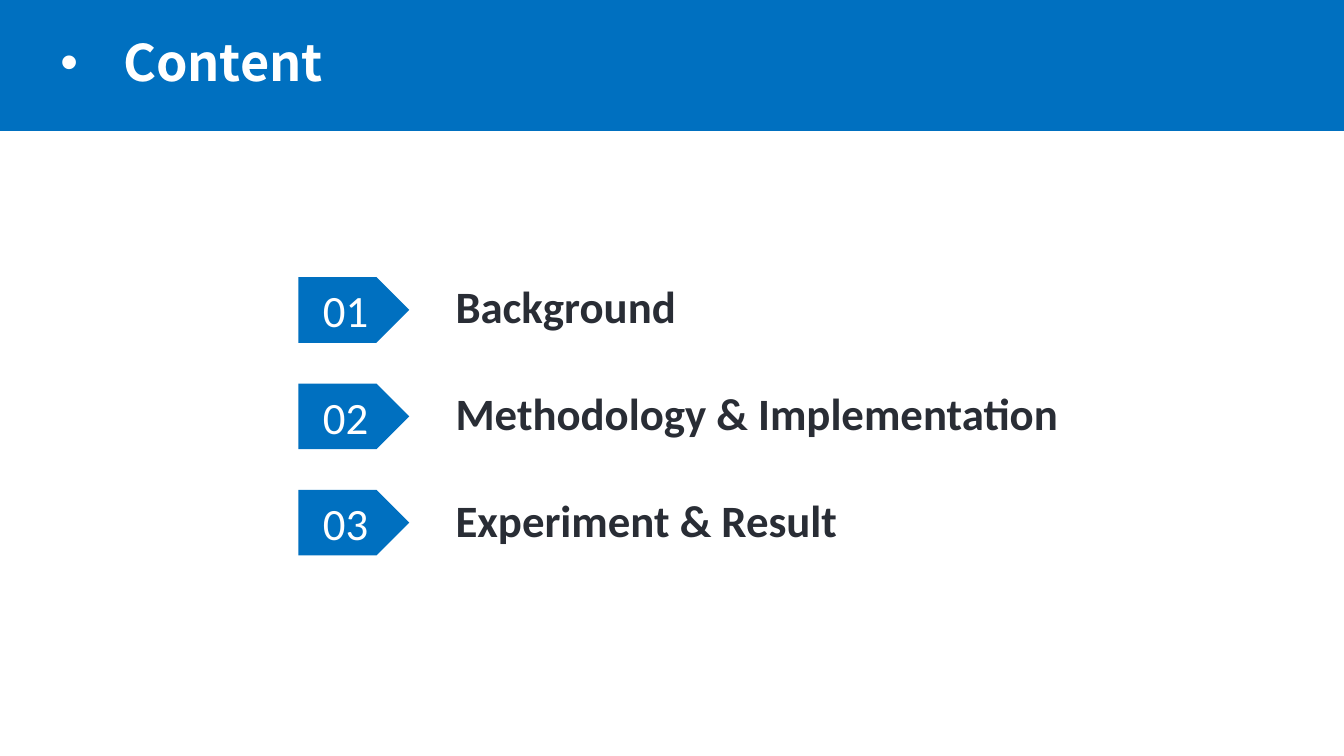
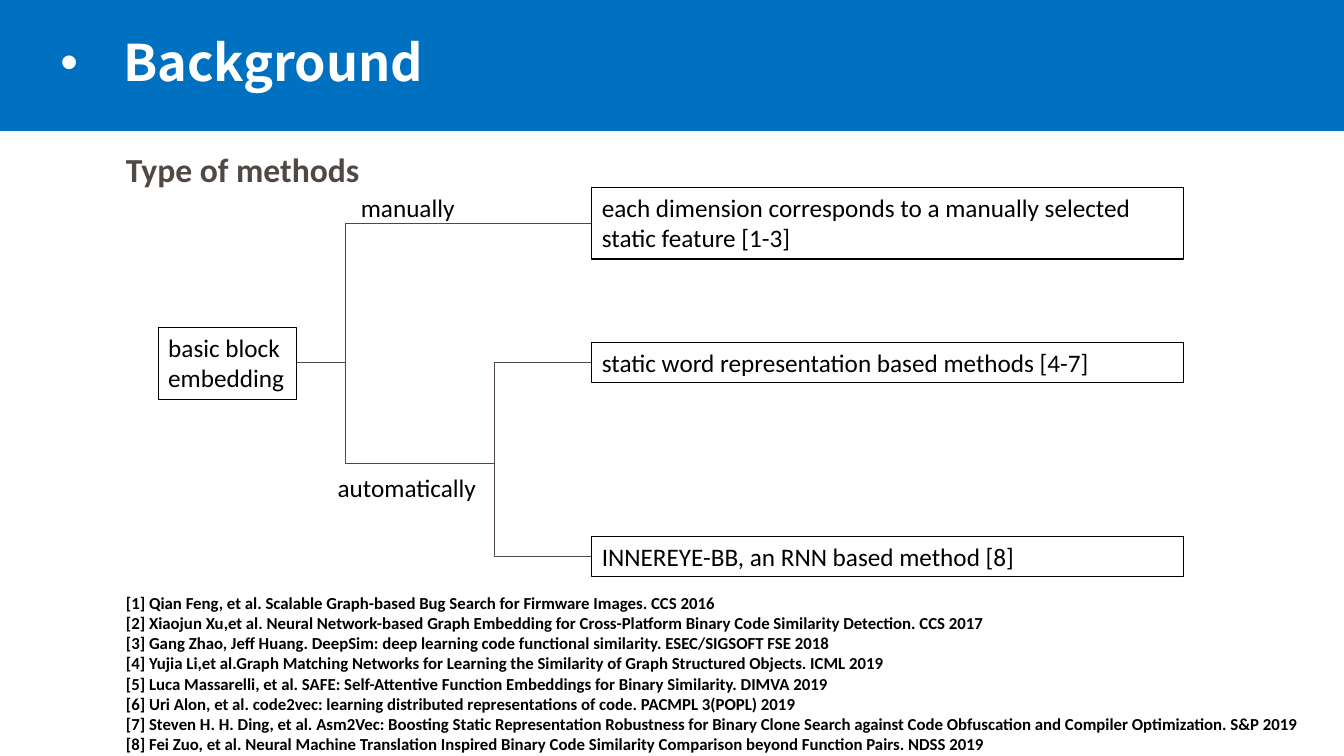
from dataclasses import dataclass

from lxml import etree
from pptx import Presentation
from pptx.dml.color import RGBColor
from pptx.enum.shapes import MSO_CONNECTOR, MSO_SHAPE
from pptx.enum.text import MSO_ANCHOR, MSO_AUTO_SIZE, PP_ALIGN
from pptx.oxml.ns import qn
from pptx.shapes.autoshape import Shape
from pptx.slide import Slide, SlideLayout
from pptx.text.text import _Paragraph as Paragraph
from pptx.util import Inches, Pt

SLIDE_WIDTH = Inches(13.33)
SLIDE_HEIGHT = Inches(7.5)

BLUE = RGBColor(0x00, 0x70, 0xC0)
WHITE = RGBColor(0xFF, 0xFF, 0xFF)
BLACK = RGBColor(0x00, 0x00, 0x00)
SLATE = RGBColor(0x29, 0x2D, 0x35)
BROWN = RGBColor(0x51, 0x48, 0x43)

BODY_FONT = "Calibri"
TITLE_FONT = "Noto Sans CJK SC"

RECTANGLE = MSO_SHAPE.RECTANGLE
PENTAGON = MSO_SHAPE.PENTAGON
ELBOW = MSO_CONNECTOR.ELBOW
MIDDLE = MSO_ANCHOR.MIDDLE
LEFT = PP_ALIGN.LEFT
CENTER = PP_ALIGN.CENTER
NO_AUTO_SIZE = MSO_AUTO_SIZE.NONE

TITLE_ONLY_LAYOUT = 5


def across(percent: float) -> int:
    """Convert a percentage of the slide width to a length."""
    return round(SLIDE_WIDTH * percent / 100)


def down(percent: float) -> int:
    """Convert a percentage of the slide height to a length."""
    return round(SLIDE_HEIGHT * percent / 100)


@dataclass(frozen=True)
class Area:
    """A rectangle in percentages of the slide's width and height."""

    left: float
    top: float
    width: float
    height: float

    @property
    def right(self) -> float:
        return self.left + self.width

    @property
    def middle(self) -> float:
        return self.top + self.height / 2

    def lengths(self) -> tuple[int, int, int, int]:
        return across(self.left), down(self.top), across(self.width), down(self.height)


@dataclass(frozen=True)
class TextStyle:
    size: float
    color: RGBColor = BLACK
    bold: bool = False
    font: str = BODY_FONT


@dataclass(frozen=True)
class TextBlock:
    area: Area
    lines: tuple[str, ...]
    style: TextStyle
    wrap: bool = False
    outlined: bool = False
    space_after: float = 0


@dataclass(frozen=True)
class Branch:
    """An elbow line from start to end that turns at the column bend."""

    start: tuple[float, float]
    end: tuple[float, float]
    bend: float


TITLE_STYLE = TextStyle(36, WHITE, True, TITLE_FONT)
TAG_STYLE = TextStyle(32, WHITE)
SECTION_STYLE = TextStyle(32, SLATE, True)
HEADING_STYLE = TextStyle(24, BROWN, True)
DIAGRAM_STYLE = TextStyle(18)
REFERENCE_STYLE = TextStyle(12, bold=True)

BAND = Area(0, 0, 100, 17.33)
TITLE = Area(3.75, 2, 67.2, 13.33)

SECTIONS = ("Background", "Methodology & Implementation", "Experiment & Result")
SECTION_LIST = Area(33.16, 36.27, 46.8, 37.2)
FIRST_TAG = Area(22.2, 36.67, 8.25, 8.67)
TAG_PITCH = 14.07

ONE_LINE = 5.33
TWO_LINES = 9.47
METHOD_LEFT = 44.04
METHOD_WIDTH = 44.04
TEXT_LEFT = 8.63

ROOT = Area(11.78, 43.33, 10.28, TWO_LINES)
MANUAL = Area(METHOD_LEFT, 24.8, METHOD_WIDTH, TWO_LINES)
STATIC_WORD = Area(METHOD_LEFT, 45.33, METHOD_WIDTH, ONE_LINE)
RNN = Area(METHOD_LEFT, 70.93, METHOD_WIDTH, ONE_LINE)

ROOT_EXIT = (ROOT.right, STATIC_WORD.middle)
AUTOMATIC_SPLIT = (29.56, 61.33)
ROOT_BEND = 25.73
AUTOMATIC_BEND = 36.76

BRANCHES = (
    Branch(ROOT_EXIT, (MANUAL.left, MANUAL.middle), ROOT_BEND),
    Branch(ROOT_EXIT, AUTOMATIC_SPLIT, ROOT_BEND),
    Branch(AUTOMATIC_SPLIT, (STATIC_WORD.left, STATIC_WORD.middle), AUTOMATIC_BEND),
    Branch(AUTOMATIC_SPLIT, (RNN.left, RNN.middle), AUTOMATIC_BEND),
)

REFERENCES = (
    "[1] Qian Feng, et al. Scalable Graph-based Bug Search for Firmware Images. CCS 2016",
    "[2] Xiaojun Xu,et al. Neural Network-based Graph Embedding for Cross-Platform "
    "Binary Code Similarity Detection. CCS 2017",
    "[3] Gang Zhao, Jeff Huang. DeepSim: deep learning code functional similarity. "
    "ESEC/SIGSOFT FSE 2018",
    "[4] Yujia Li,et al.Graph Matching Networks for Learning the Similarity of Graph "
    "Structured Objects. ICML 2019",
    "[5] Luca Massarelli, et al. SAFE: Self-Attentive Function Embeddings for Binary "
    "Similarity. DIMVA 2019",
    "[6] Uri Alon, et al. code2vec: learning distributed representations of code. "
    "PACMPL 3(POPL) 2019",
    "[7] Steven H. H. Ding, et al. Asm2Vec: Boosting Static Representation Robustness "
    "for Binary Clone Search against Code Obfuscation and Compiler Optimization. S&P 2019",
    "[8] Fei Zuo, et al. Neural Machine Translation Inspired Binary Code Similarity "
    "Comparison beyond Function Pairs. NDSS 2019",
)

BACKGROUND_BLOCKS = (
    TextBlock(ROOT, ("basic block", "embedding"), DIAGRAM_STYLE, outlined=True),
    TextBlock(
        MANUAL,
        ("each dimension corresponds to a manually selected static feature [1-3]",),
        DIAGRAM_STYLE, wrap=True, outlined=True,
    ),
    TextBlock(
        STATIC_WORD,
        ("static word representation based methods [4-7]",),
        DIAGRAM_STYLE, wrap=True, outlined=True,
    ),
    TextBlock(
        RNN,
        ("INNEREYE-BB, an RNN based method [8]",),
        DIAGRAM_STYLE, wrap=True, outlined=True,
    ),
    TextBlock(Area(26.11, 24.8, 8.55, ONE_LINE), ("manually",), DIAGRAM_STYLE),
    TextBlock(Area(24.38, 61.87, 11.93, ONE_LINE), ("automatically",), DIAGRAM_STYLE),
    TextBlock(Area(TEXT_LEFT, 77.73, 91.37, 22.27), REFERENCES, REFERENCE_STYLE, wrap=True),
    TextBlock(Area(TEXT_LEFT, 19.07, 19.05, 6.67), ("Type of methods",), HEADING_STYLE),
)


def style_paragraph(paragraph: Paragraph, style: TextStyle) -> None:
    font = paragraph.font
    font.name = style.font
    font.size = Pt(style.size)
    font.bold = style.bold
    font.color.rgb = style.color


def add_blue_shape(slide: Slide, kind: MSO_SHAPE, area: Area) -> Shape:
    shape = slide.shapes.add_shape(kind, *area.lengths())
    shape.shadow.inherit = False
    shape.fill.solid()
    shape.fill.fore_color.rgb = BLUE
    shape.line.fill.background()
    return shape


def prepare_layout(layout: SlideLayout, slide: Slide) -> None:
    """Place the title and move a band, drawn on the slide, into the layout."""
    band = add_blue_shape(slide, RECTANGLE, BAND)
    layout.shapes.element.insert(2, band.element)
    title = layout.placeholders[0]
    title.left, title.top, title.width, title.height = TITLE.lengths()


def set_title(slide: Slide, text: str) -> None:
    frame = slide.shapes.title.text_frame
    frame.text = text
    frame.vertical_anchor = MIDDLE
    frame.auto_size = NO_AUTO_SIZE
    paragraph = frame.paragraphs[0]
    paragraph.alignment = LEFT
    paragraph.line_spacing = 0.9
    paragraph.space_before = Pt(18)
    properties = paragraph._p.get_or_add_pPr()
    properties.set("marL", str(Inches(0.62)))
    properties.set("indent", str(-Inches(0.62)))
    etree.SubElement(properties, qn("a:buFont"), typeface="Arial")
    etree.SubElement(properties, qn("a:buChar"), char="•")
    style_paragraph(paragraph, TITLE_STYLE)


def add_text(slide: Slide, block: TextBlock) -> None:
    box = slide.shapes.add_textbox(*block.area.lengths())
    if block.outlined:
        box.line.color.rgb = BLACK
        box.line.width = Pt(0.75)
    frame = box.text_frame
    frame.word_wrap = block.wrap
    frame.text = "\n".join(block.lines)
    for paragraph in frame.paragraphs:
        paragraph.alignment = LEFT
        paragraph.space_after = Pt(block.space_after)
        style_paragraph(paragraph, block.style)


def add_tag(slide: Slide, number: int) -> None:
    top = FIRST_TAG.top + (number - 1) * TAG_PITCH
    area = Area(FIRST_TAG.left, top, FIRST_TAG.width, FIRST_TAG.height)
    frame = add_blue_shape(slide, PENTAGON, area).text_frame
    frame.vertical_anchor = MIDDLE
    frame.text = f"{number:02}"
    frame.paragraphs[0].alignment = CENTER
    style_paragraph(frame.paragraphs[0], TAG_STYLE)


def add_branch(slide: Slide, branch: Branch) -> None:
    (start_x, start_y), (end_x, end_y) = branch.start, branch.end
    connector = slide.shapes.add_connector(
        ELBOW, across(start_x), down(start_y), across(end_x), down(end_y)
    )
    connector.line.color.rgb = BROWN
    connector.line.width = Pt(0.5)
    share = round((branch.bend - start_x) / (end_x - start_x) * 100000)
    adjustments = connector.element.find(".//" + qn("a:avLst"))
    etree.SubElement(adjustments, qn("a:gd"), name="adj1", fmla=f"val {share}")
    etree.SubElement(connector.element.spPr, qn("a:effectLst"))


def fill_content(slide: Slide) -> None:
    set_title(slide, "Content")
    add_text(slide, TextBlock(SECTION_LIST, SECTIONS, SECTION_STYLE, space_after=38))
    for number in range(1, len(SECTIONS) + 1):
        add_tag(slide, number)


def fill_background(slide: Slide) -> None:
    set_title(slide, "Background")
    for branch in BRANCHES:
        add_branch(slide, branch)
    for block in BACKGROUND_BLOCKS:
        add_text(slide, block)


def main() -> None:
    presentation = Presentation()
    presentation.slide_width = SLIDE_WIDTH
    presentation.slide_height = SLIDE_HEIGHT
    layout = presentation.slide_layouts[TITLE_ONLY_LAYOUT]
    content = presentation.slides.add_slide(layout)
    background = presentation.slides.add_slide(layout)
    prepare_layout(layout, content)
    fill_content(content)
    fill_background(background)
    presentation.save("out.pptx")


if __name__ == "__main__":
    main()
